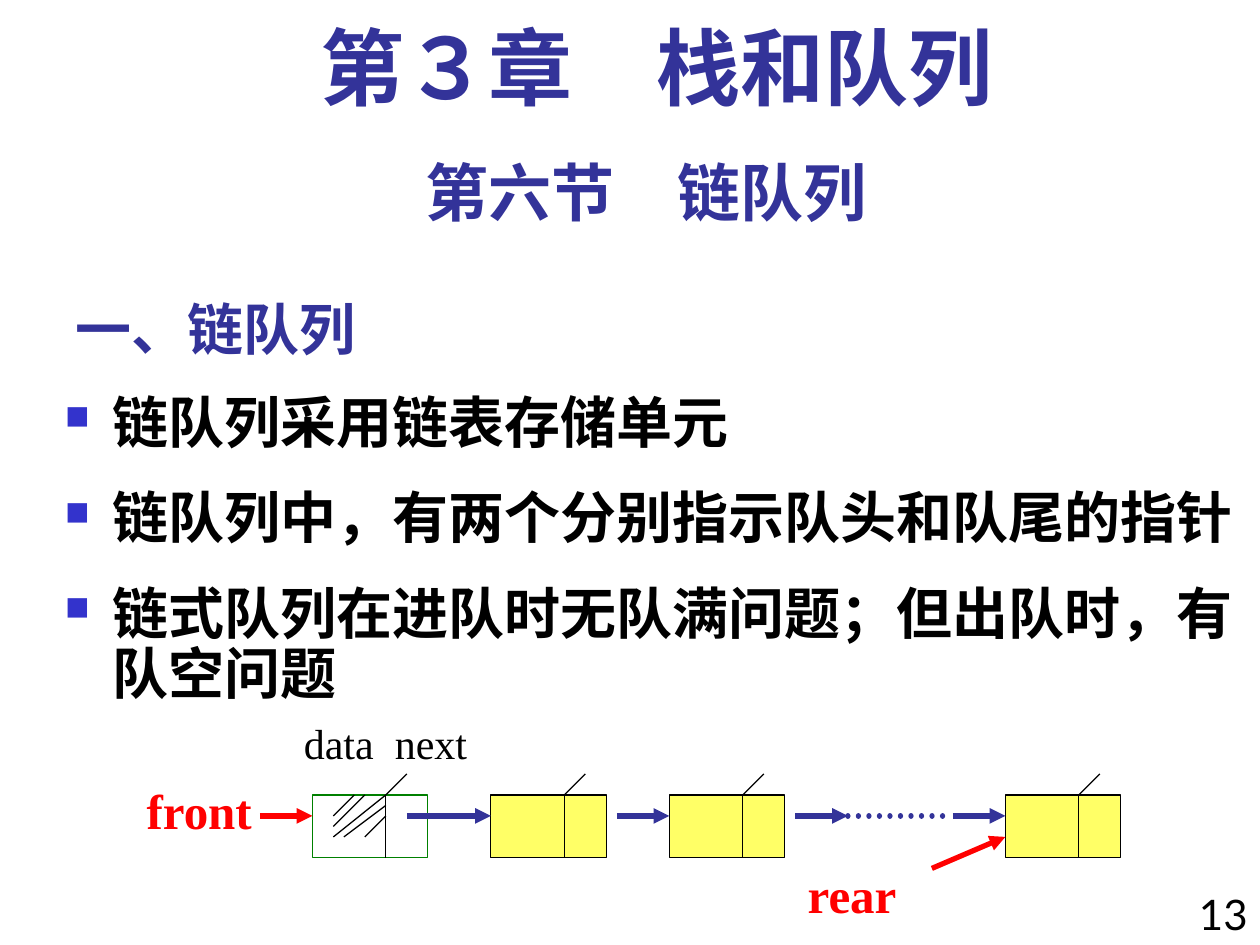
"""Build the slide on linked queues with its node diagram."""
from lxml import etree
from pptx import Presentation
from pptx.dml.color import RGBColor
from pptx.enum.dml import MSO_LINE
from pptx.enum.shapes import MSO_CONNECTOR, MSO_SHAPE
from pptx.enum.text import MSO_ANCHOR, PP_ALIGN
from pptx.oxml.ns import qn
from pptx.util import Pt

STRAIGHT = MSO_CONNECTOR.STRAIGHT
RECTANGLE = MSO_SHAPE.RECTANGLE
BOTTOM = MSO_ANCHOR.BOTTOM
CENTER, RIGHT = PP_ALIGN.CENTER, PP_ALIGN.RIGHT
DOTTED = MSO_LINE.ROUND_DOT

INDIGO = RGBColor(0x33, 0x33, 0x99)
BLACK = RGBColor(0x00, 0x00, 0x00)
RED = RGBColor(0xFF, 0x00, 0x00)
GREEN = RGBColor(0x00, 0x80, 0x00)
YELLOW = RGBColor(0xFF, 0xFF, 0x66)
BULLET_HEX = "3333CC"

EAST_ASIAN = "Lato"
SERIF = "Times New Roman"
SANS = "Noto Sans CJK SC"

GRID = 6
DIAGRAM_LEFT, DIAGRAM_TOP = 178.5, 454.25
NODE_WIDTH, NODE_HEIGHT, DIVIDER = 11, 6, 7
NODE_COLUMNS = (0, 17, 34, 66)
LINK_ROW = 2
LINKS = ((9, 17), (29, 34), (46, 51), (61, 66))
HATCHING = ((5, 0, 2, 3), (7, 1, 3, 4), (7, 0, 2, 4), (7, 2, 5, 4), (4, 0, 2, 2))

BULLETS = (
    "链队列采用链表存储单元",
    "链队列中，有两个分别指示队头和队尾的指针",
    "链式队列在进队时无队满问题；但出队时，有队空问题",
)


def add_child(parent, tag, **attributes):
    """Append a DrawingML element to a parent."""
    return etree.SubElement(parent, qn(tag), attributes)


def add_text(shapes, box, lines, font_format, color, paragraph_format=None, **frame_format):
    """Add a text box with one paragraph per line and return its paragraphs."""
    frame = shapes.add_textbox(*map(Pt, box)).text_frame
    for name, value in {"word_wrap": True, **frame_format}.items():
        setattr(frame, name, value)
    for index, line in enumerate(lines):
        paragraph = frame.add_paragraph() if index else frame.paragraphs[0]
        for name, value in (paragraph_format or {}).items():
            if index or name != "space_before":
                setattr(paragraph, name, value)
        run = paragraph.add_run()
        run.text = line
        for name, value in font_format.items():
            setattr(run.font, name, value)
        run.font.color.rgb = color
        properties = run._r.get_or_add_rPr()
        properties.set("lang", "zh-CN")
        add_child(properties, "a:ea", typeface=EAST_ASIAN)
    return frame.paragraphs


def add_bullet(paragraph):
    """Give a paragraph a small square bullet with a hanging indent."""
    properties = paragraph._p.get_or_add_pPr()
    properties.set("marL", str(Pt(27)))
    properties.set("indent", str(Pt(-27)))
    add_child(add_child(properties, "a:buClr"), "a:srgbClr", val=BULLET_HEX)
    add_child(properties, "a:buSzPct", val="60000")
    add_child(properties, "a:buChar", char="■")


def add_tab_stop(paragraph, position):
    """Set one left tab stop in a paragraph."""
    stops = add_child(paragraph._p.get_or_add_pPr(), "a:tabLst")
    add_child(stops, "a:tab", pos=str(Pt(position)), algn="l")


def grid_x(column):
    """Return the horizontal place of a diagram grid column."""
    return Pt(DIAGRAM_LEFT + column * GRID)


def grid_y(row):
    """Return the vertical place of a diagram grid row."""
    return Pt(DIAGRAM_TOP + row * GRID)


def add_line(shapes, ends, color=BLACK, width=0.75, arrow=False, dotted=False):
    """Draw a straight line between two grid points."""
    x1, y1, x2, y2 = ends
    connector = shapes.add_connector(STRAIGHT, grid_x(x1), grid_y(y1), grid_x(x2), grid_y(y2))
    connector.line.color.rgb = color
    connector.line.width = Pt(width)
    outline = connector.line._get_or_add_ln()
    if dotted:
        connector.line.dash_style = DOTTED
        outline.set("cap", "rnd")
    if arrow:
        add_child(outline, "a:tailEnd", type="triangle")
    add_child(connector._element.spPr, "a:effectLst")


def add_node(shapes, column, head=False):
    """Draw a list node with its divider and the pointer to its label."""
    node = shapes.add_shape(
        RECTANGLE, grid_x(column), grid_y(0), Pt(NODE_WIDTH * GRID), Pt(NODE_HEIGHT * GRID))
    node.shadow.inherit = False
    node.line.color.rgb = GREEN if head else BLACK
    node.line.width = Pt(0.75)
    if head:
        node.fill.background()
    else:
        node.fill.solid()
        node.fill.fore_color.rgb = YELLOW
    divider = column + DIVIDER
    add_line(shapes, (divider, 0, divider, NODE_HEIGHT))
    add_line(shapes, (divider, 0, divider + 2, -2))


def add_diagram(shapes):
    """Draw the linked queue with its front and rear pointers."""
    label_font = {"size": Pt(24), "name": SERIF}
    pointer_font = {"size": Pt(28), "name": SERIF, "bold": True}
    label, = add_text(shapes, (166.5, 406.25, 132, 36), ["data\tnext"], label_font, BLACK)
    add_tab_stop(label, 52)
    for column in NODE_COLUMNS:
        add_node(shapes, column, head=column == 0)
    for start, end in LINKS:
        add_line(shapes, (start, LINK_ROW, end, LINK_ROW), INDIGO, 3, arrow=True)
    add_line(shapes, (51, LINK_ROW, 61, LINK_ROW), INDIGO, 3, dotted=True)
    for ends in HATCHING:
        add_line(shapes, ends)
    for ends in ((-5, LINK_ROW, 0, LINK_ROW), (59, 7, 66, 4)):
        add_line(shapes, ends, RED, 3, arrow=True)
    for name, left, top in (("front", 76.75, 442.25), ("rear", 454.5, 490.25)):
        add_text(shapes, (left, top, 75, 41), [name], pointer_font, RED, word_wrap=False)


def main():
    """Build and save the slide."""
    presentation = Presentation()
    presentation.slide_width, presentation.slide_height = Pt(720), Pt(540)
    slide = presentation.slides.add_slide(presentation.slide_layouts[6])
    shapes = slide.shapes
    section_font = {"size": Pt(32), "name": SANS, "bold": True}
    add_text(shapes, (36, 156, 450, 54), ["一、链队列"], section_font, INDIGO,
             vertical_anchor=BOTTOM)
    add_text(shapes, (672, 504, 48, 42), ["13"], {"size": Pt(24), "name": "Lato"}, BLACK,
             {"alignment": RIGHT})
    add_text(shapes, (36, 84, 666, 50), ["第六节　链队列"],
             {"size": Pt(36), "name": "Lato", "bold": True}, INDIGO, {"alignment": CENTER})
    paragraphs = add_text(shapes, (30, 222, 690, 318), BULLETS, section_font, BLACK,
                          {"line_spacing": 0.9, "space_before": Pt(20)})
    for paragraph in paragraphs:
        add_bullet(paragraph)
    add_text(shapes, (48, 12, 654, 60), ["第３章　栈和队列"],
             {"size": Pt(48), "name": SERIF, "bold": True}, INDIGO,
             {"alignment": CENTER, "line_spacing": 0.9})
    add_diagram(shapes.add_group_shape().shapes)
    presentation.save("out.pptx")


if __name__ == "__main__":
    main()
